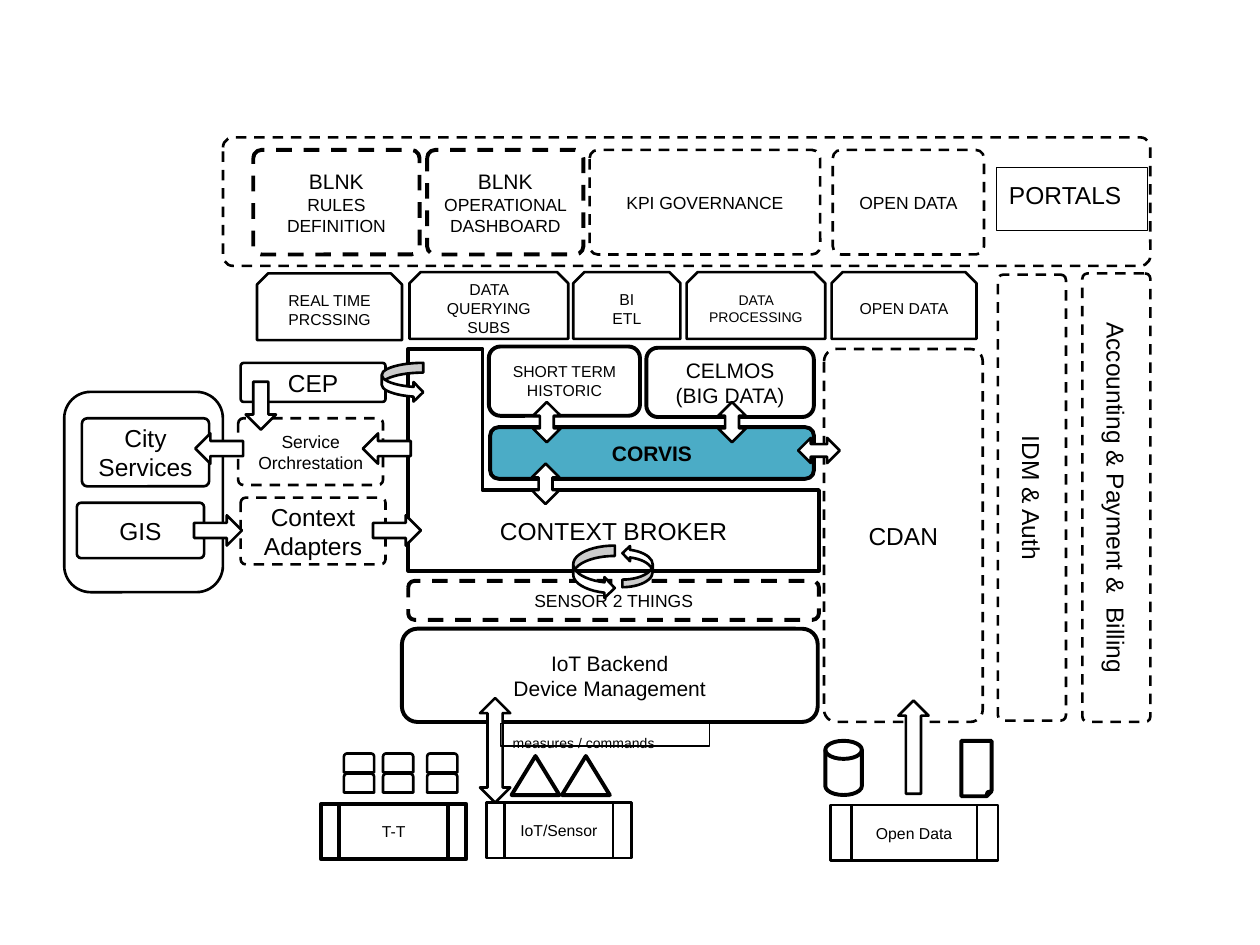
from pptx import Presentation
from pptx.dml.color import RGBColor
from pptx.enum.dml import MSO_LINE
from pptx.enum.shapes import MSO_SHAPE
from pptx.enum.text import MSO_ANCHOR, PP_ALIGN
from pptx.util import Inches, Pt

RECT, ROUND = MSO_SHAPE.RECTANGLE, MSO_SHAPE.ROUNDED_RECTANGLE
SNIP, CAP = MSO_SHAPE.SNIP_2_SAME_RECTANGLE, MSO_SHAPE.ROUND_2_SAME_RECTANGLE
PROC, DISK = MSO_SHAPE.FLOWCHART_PREDEFINED_PROCESS, MSO_SHAPE.FLOWCHART_MAGNETIC_DISK
PAGE, PEAK = MSO_SHAPE.FOLDED_CORNER, MSO_SHAPE.ISOSCELES_TRIANGLE
CURVE = MSO_SHAPE.CURVED_RIGHT_ARROW
UP, BOTH = MSO_SHAPE.UP_ARROW, MSO_SHAPE.UP_DOWN_ARROW
DASH = MSO_LINE.DASH
MID, TOP = MSO_ANCHOR.MIDDLE, MSO_ANCHOR.TOP
CENTER, LEFT = PP_ALIGN.CENTER, PP_ALIGN.LEFT
INK, WHITE, TEAL = "000000", "FFFFFF", "4BACC6"
THIN, FINE, BOLD = 0.75, 1.5, 2.25
SLIM, WIDE = [0.078], [0.167]


def paint(color, code):
    color.rgb = RGBColor.from_string(code)


def write(shape, text, size, head=None, bold=False, align=CENTER, anchor=MID):
    frame = shape.text_frame
    frame.word_wrap = True
    frame.vertical_anchor = anchor
    frame.margin_left = frame.margin_right = Inches(0.1)
    frame.margin_top = frame.margin_bottom = Inches(0.1)
    frame.text = text
    for i, para in enumerate(frame.paragraphs):
        para.alignment = align
        for run in para.runs:
            run.font.name = "Arial"
            run.font.size = Pt(head if head and i == 0 else size)
            run.font.bold = bold
            paint(run.font.color, INK)


def style(shape, line, fill=None, dash=False):
    shape.shadow.inherit = False
    if fill:
        shape.fill.solid()
        paint(shape.fill.fore_color, fill)
    else:
        shape.fill.background()
    paint(shape.line.color, INK)
    shape.line.width = Pt(line)
    if dash:
        shape.line.dash_style = DASH


def draw(kind, x, y, w, h, line=FINE, fill=None, adj=(), dash=False, turn=0):
    shape = slide.shapes.add_shape(kind, Inches(x), Inches(y), Inches(w), Inches(h))
    for i, value in enumerate(adj):
        shape.adjustments[i] = value
    style(shape, line, fill, dash)
    shape.rotation = turn
    return shape


def portals(x, y, w, h):
    draw(ROUND, x, y, w, h, adj=SLIM, dash=True)
    for dx, bw, line, text, head in (
            (0.24, 1.32, BOLD, "BLNK\nRULES\nDEFINITION", 12),
            (1.62, 1.24, BOLD, "BLNK\nOPERATIONAL DASHBOARD", 12),
            (2.91, 1.83, FINE, "KPI GOVERNANCE", None),
            (4.84, 1.2, FINE, "OPEN DATA", None)):
        box = draw(ROUND, x + dx, y + 0.1, bw, 0.83, line, adj=SLIM, dash=True)
        write(box, text, 10, head)
    label = draw(RECT, x + 6.14, y + 0.24, 1.2, 0.5, THIN)
    write(label, "PORTALS", 14, align=LEFT, anchor=TOP)


def tools(x, y, h):
    for dx, dy, w, text, size in (
            (0, 0.01, 1.15, "REAL TIME PRCSSING", 9),
            (1.21, 0, 1.26, "DATA QUERYING\nSUBS", 9),
            (2.51, 0, 0.85, "BI\nETL", 9),
            (3.41, 0, 1.1, "DATA PROCESSING", 8),
            (4.56, 0, 1.15, "OPEN DATA", 9)):
        write(draw(SNIP, x + dx, y + dy, w, h, fill=WHITE), text, size)


def broker(x, y, w, h, stem, foot):
    bend = h - foot
    pen = slide.shapes.build_freeform(Inches(x), Inches(y))
    pen.add_line_segments([(Inches(x + dx), Inches(y + dy)) for dx, dy in (
        (stem, 0), (stem, bend), (w, bend), (w, h), (0, h))])
    shape = pen.convert_to_shape()
    style(shape, BOLD)
    write(shape, "CONTEXT BROKER", 14)
    # Text sits in the foot
    shape.text_frame.margin_top = Inches(bend + 0.1)


def core(x, y, w):
    broker(x, y, w, 1.76, 0.59, 0.64)
    history = draw(ROUND, x + 0.64, y - 0.02, 1.2, 0.55, BOLD, adj=WIDE)
    write(history, "SHORT TERM HISTORIC", 9)
    store = draw(ROUND, x + 1.89, y - 0.01, 1.33, 0.55, BOLD, WHITE, WIDE)
    write(store, "CELMOS\n(BIG DATA)", 12)
    sink = draw(ROUND, x + 0.65, y + 0.62, 2.57, 0.41, BOLD, TEAL, WIDE)
    write(sink, "CORVIS", 12, bold=True)
    things = draw(ROUND, x, y + 1.84, w, 0.31, BOLD, adj=WIDE, dash=True)
    write(things, "SENSOR 2 THINGS", 10)
    backend = draw(ROUND, x - 0.05, y + 2.22, w + 0.04, 0.74, BOLD, adj=WIDE)
    write(backend, "IoT Backend\nDevice Management", 12)


def pillars(x, y, h):
    write(draw(ROUND, x, y, 1.26, h, adj=SLIM, dash=True), "CDAN", 14)
    # Turned boxes share one center line
    for mid, tall, text in ((1.65, 3.54, "IDM & Auth"),
                            (2.32, 3.56, "Accounting & Payment &  Billing")):
        bar = draw(ROUND, x + mid - tall / 2, y + 0.91, tall, 0.54,
                   adj=SLIM, dash=True, turn=90)
        write(bar, text, 14)


def city(x, y, w, h):
    draw(ROUND, x, y, w, h, adj=WIDE)
    for dx, dy, bw, bh, text, size, dash in (
            (0.14, 0.21, 1.01, 0.54, "City\nServices", 14, False),
            (0.1, 0.88, 1.01, 0.44, "GIS", 14, False),
            (1.4, -0.23, 1.15, 0.31, "CEP", 14, False),
            (1.38, 0.21, 1.15, 0.53, "Service Orchrestation", 10, True),
            (1.4, 0.84, 1.15, 0.53, "Context\nAdapters", 14, True)):
        box = draw(ROUND, x + dx, y + dy, bw, bh, adj=SLIM, dash=dash)
        write(box, text, size)


def sources(x, y):
    # Devices
    for dx in (0.18, 0.49, 0.84):
        for dy in (0.16, 0):
            draw(CAP, x + dx, y + 0.1 + dy, 0.24, 0.15, fill=WHITE)
    for dx in (1.51, 1.91):
        draw(PEAK, x + dx, y + 0.12, 0.38, 0.31, BOLD, WHITE)
    # Data stores
    draw(DISK, x + 4, y, 0.29, 0.43, BOLD, WHITE)
    draw(PAGE, x + 5.08, y, 0.24, 0.44, BOLD, WHITE)
    for dx, dy, w, line, text in ((0, 0.5, 1.15, BOLD, "T-T"),
                                  (1.31, 0.49, 1.15, FINE, "IoT/Sensor"),
                                  (4.04, 0.51, 1.33, FINE, "Open Data")):
        write(draw(PROC, x + dx, y + dy, w, 0.44, line), text, 9)


def arrows():
    for kind, x, y, w, h, turn in (
            (UP, 7.13, 5.56, 0.24, 0.74, 0),
            (BOTH, 3.81, 5.54, 0.24, 0.83, 0),
            (UP, 3.03, 4.02, 0.24, 0.38, 90),
            (UP, 1.61, 4.02, 0.24, 0.38, 90),
            (UP, 2.95, 3.37, 0.24, 0.38, 270),
            (UP, 1.62, 3.37, 0.24, 0.38, 270),
            (UP, 1.95, 3.03, 0.24, 0.38, 180),
            (CURVE, 4.55, 4.33, 0.33, 0.42, 0),
            (CURVE, 4.94, 4.33, 0.24, 0.33, 180),
            (CURVE, 3.03, 2.88, 0.33, 0.31, 0),
            (BOTH, 4.22, 3.68, 0.22, 0.32, 0),
            (BOTH, 4.23, 3.19, 0.22, 0.32, 0),
            (BOTH, 5.7, 3.19, 0.22, 0.32, 0),
            (BOTH, 6.4, 3.41, 0.2, 0.33, 270)):
        draw(kind, x, y, w, h, fill=WHITE, turn=turn)
    note = draw(RECT, 3.97, 5.74, 1.66, 0.18, THIN)
    write(note, "measures / commands", 8, align=LEFT, anchor=TOP)


deck = Presentation()
deck.slide_width, deck.slide_height = Inches(10), Inches(7.5)
slide = deck.slides.add_slide(deck.slide_layouts[6])
portals(1.77, 1.09, 7.36, 1.02)
tools(2.04, 2.16, 0.53)
core(3.24, 2.77, 3.26)
pillars(6.54, 2.77, 2.96)
city(0.51, 3.11, 1.26, 1.59)
sources(2.55, 5.88)
arrows()
deck.save("out.pptx")
